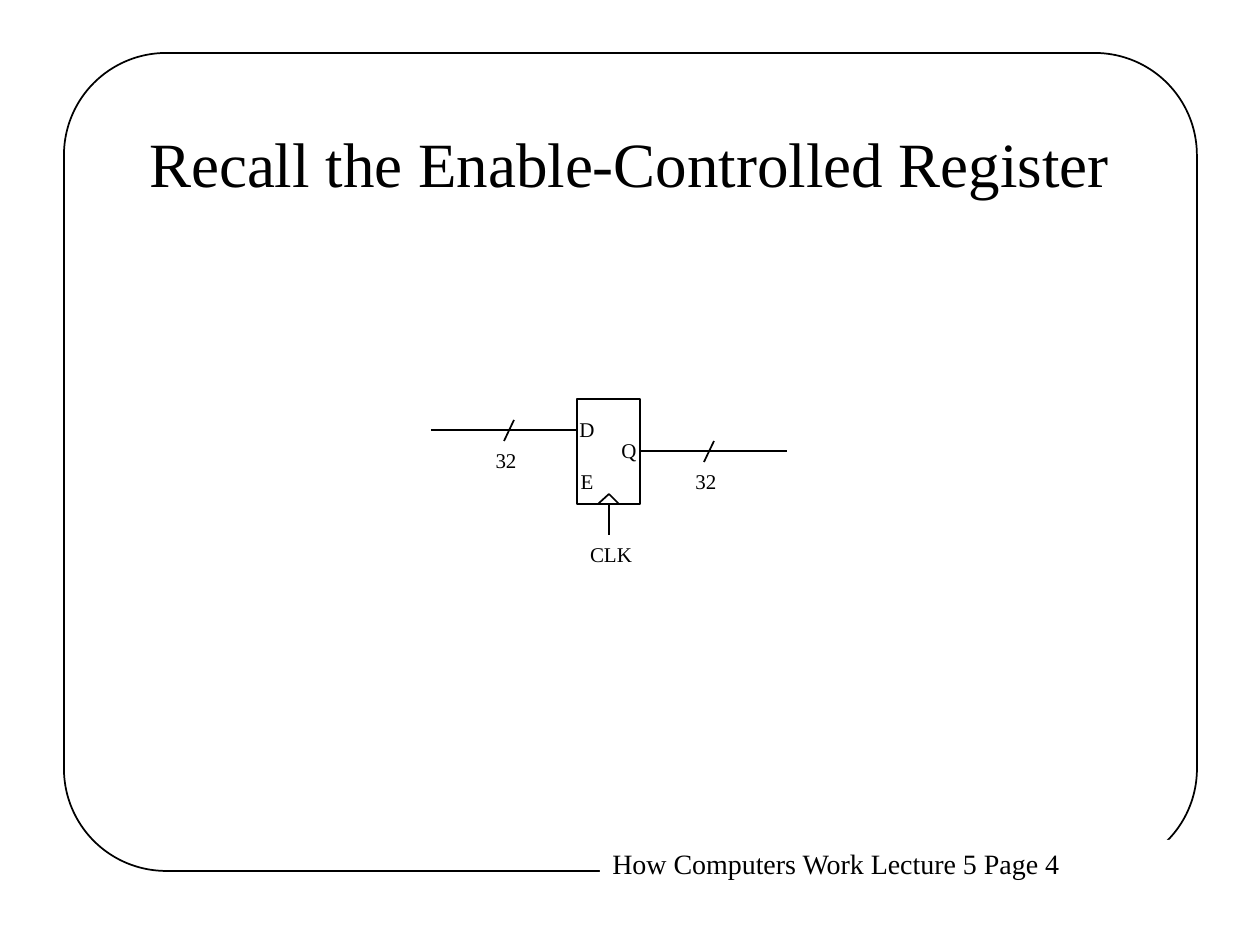
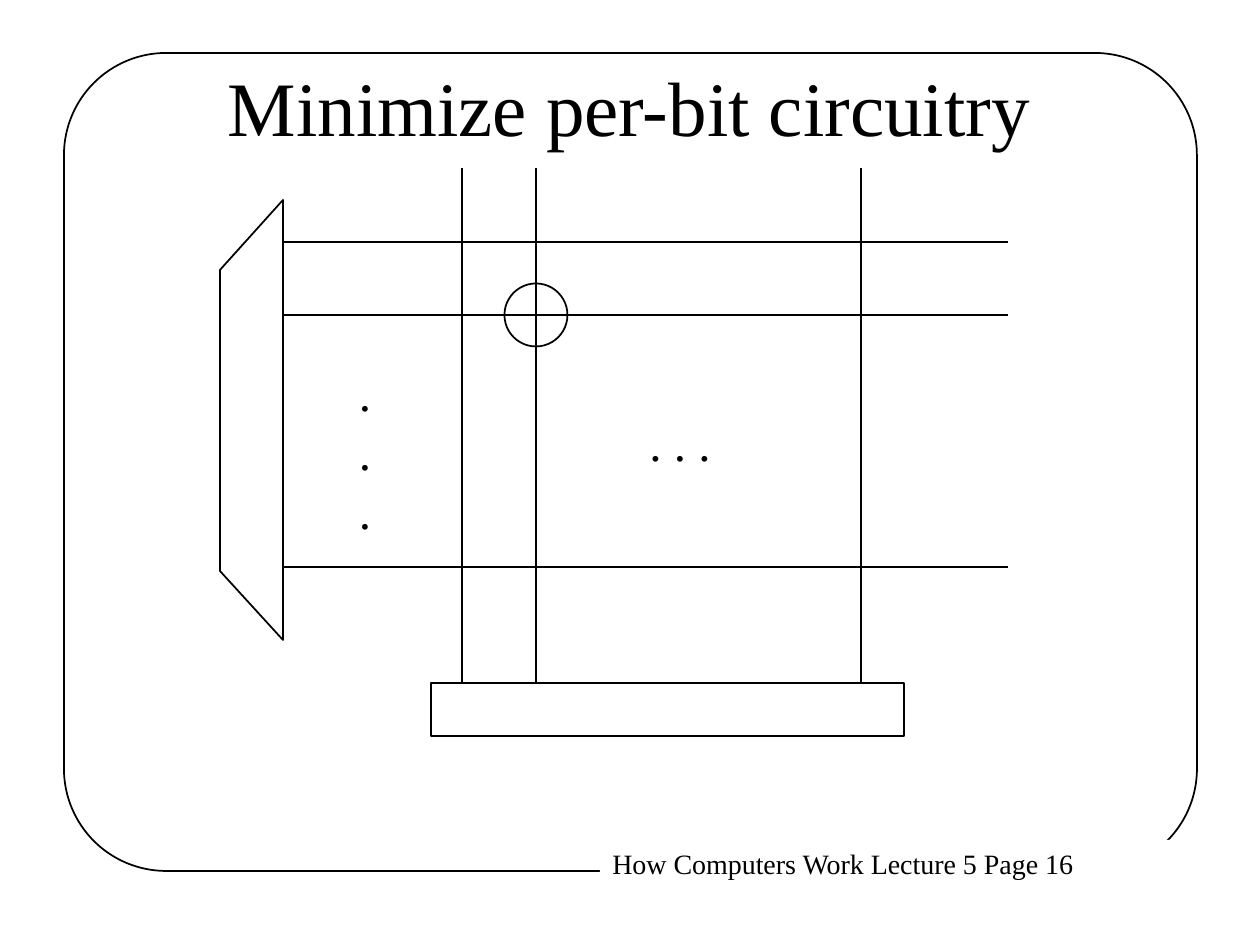
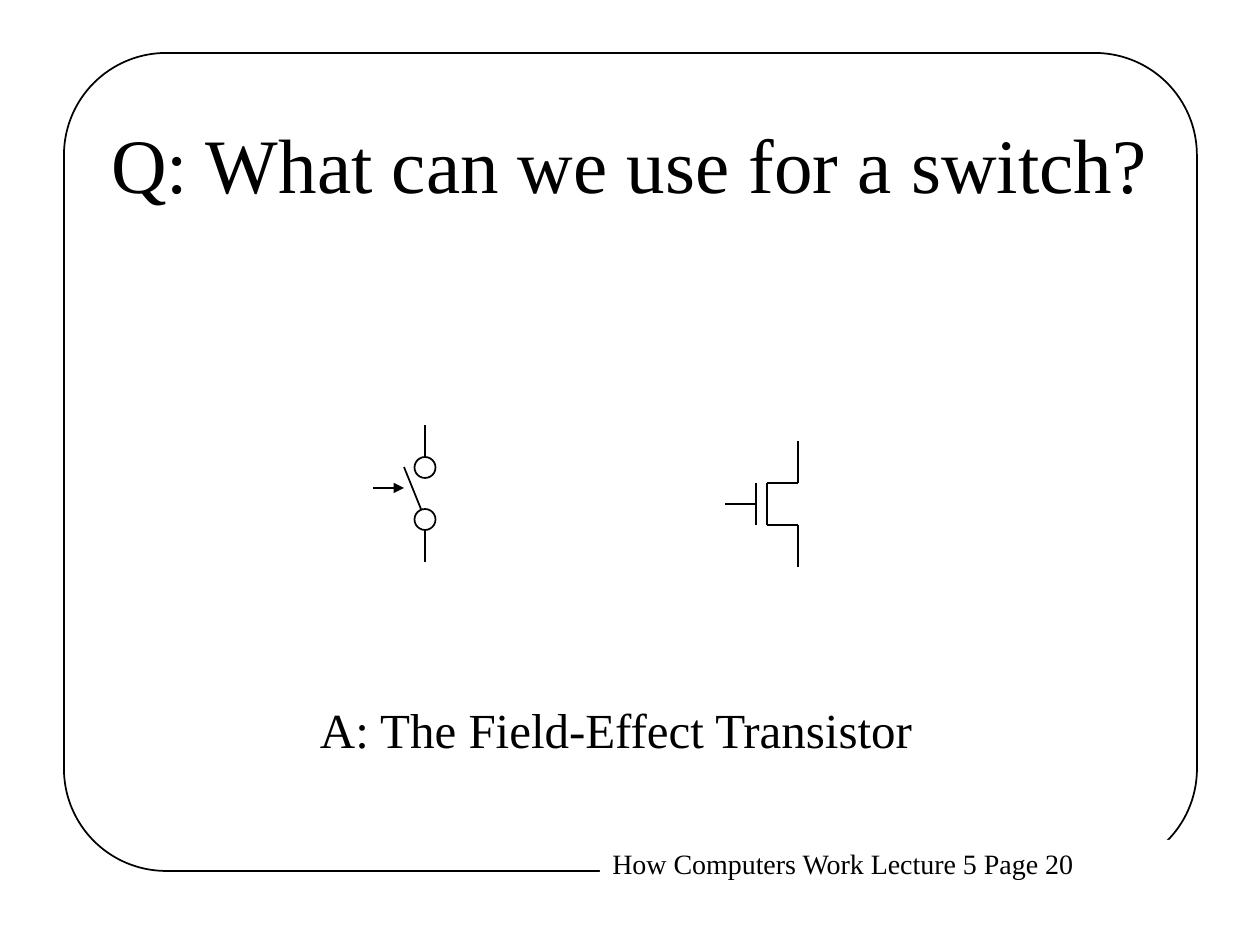
from dataclasses import dataclass
from itertools import pairwise

from lxml import etree
from pptx import Presentation
from pptx import util as u
from pptx.dml import color
from pptx.enum import shapes, text
from pptx.oxml import ns

PX = 914400 / 126  # EMU in one px


@dataclass(frozen=True)
class Theme:
    ink: color.RGBColor = color.RGBColor(0, 0, 0)
    paper: color.RGBColor = color.RGBColor(255, 255, 255)
    font: str = "Times New Roman"
    line: u.Pt = u.Pt(1)
    title: int = 44
    long_title: int = 36
    body: int = 28
    footer: int = 16
    label: int = 12


THEME = Theme()
CENTER, LEFT = text.PP_ALIGN.CENTER, text.PP_ALIGN.LEFT
MIDDLE, TOP = text.MSO_ANCHOR.MIDDLE, text.MSO_ANCHOR.TOP


def emu(length):
    return u.Emu(round(length * PX))


def assign(target, values):
    for name, value in values.items():
        setattr(target, name, value)


class Region:
    """Draws on a slide relative to a top left corner, in px."""

    def __init__(self, slide, left=0, top=0):
        self.shapes, self.left, self.top = slide.shapes, left, top

    def place(self, x, y):
        return emu(self.left + x), emu(self.top + y)

    def style(self, shape, fill=None, outlined=True):
        shape.shadow.inherit = False
        if fill is None:
            shape.fill.background()
        else:
            shape.fill.solid()
            shape.fill.fore_color.rgb = fill
        if outlined:
            shape.line.color.rgb = THEME.ink
            shape.line.width = THEME.line
        else:
            shape.line.fill.background()
        return shape

    def shape(self, kind, x, y, width, height, **style):
        shape = self.shapes.add_shape(kind, *self.place(x, y), emu(width), emu(height))
        return self.style(shape, **style)

    def outline(self, points):
        builder = self.shapes.build_freeform(*points[0], scale=PX)
        builder.add_line_segments(points[1:], close=True)
        return self.style(builder.convert_to_shape(*self.place(0, 0)))

    def line(self, start, end, arrow=False):
        connector = self.shapes.add_connector(
            shapes.MSO_CONNECTOR.STRAIGHT, *self.place(*start), *self.place(*end))
        assign(connector.line, {"width": THEME.line})
        connector.line.color.rgb = THEME.ink
        if arrow:
            etree.SubElement(connector.line._get_or_add_ln(), ns.qn("a:tailEnd"), type="triangle")
        etree.SubElement(connector._element.spPr, ns.qn("a:effectLst"))

    def path_of_lines(self, *points):
        for start, end in pairwise(points):
            self.line(start, end)

    def label(self, words, center, size, width, height):
        """Centred text, one paragraph for each line."""
        x, y = center
        box = self.shapes.add_textbox(
            *self.place(x - width / 2, y - height / 2), emu(width), emu(height))
        write(box, words, size, wrap=False)


def write(shape, words, size, align=CENTER, anchor=MIDDLE, wrap=True):
    frame = shape.text_frame
    assign(frame, {"text": words, "word_wrap": wrap, "vertical_anchor": anchor,
                   "auto_size": text.MSO_AUTO_SIZE.NONE})
    for paragraph in frame.paragraphs:
        paragraph.alignment = align
        assign(paragraph.font, {"name": THEME.font, "size": u.Pt(size)})
        paragraph.font.color.rgb = THEME.ink


# Shared frame, footer and title
def add_page(presentation, title, page, size=THEME.title, title_top=84, title_height=157):
    slide = presentation.slides.add_slide(presentation.slide_layouts[6])
    region = Region(slide)
    border = region.shape(shapes.MSO_SHAPE.ROUNDED_RECTANGLE, 64, 53, 1133, 818)
    border.adjustments[0] = 0.125
    footer = region.shape(shapes.MSO_SHAPE.RECTANGLE, 600, 840, 578, 47,
                          fill=THEME.paper, outlined=False)
    write(footer, f"How Computers Work Lecture 5 Page {page}", THEME.footer, LEFT, TOP)
    heading = slide.shapes.add_textbox(*map(emu, (94, title_top, 1071, title_height)))
    write(heading, title, size)
    return slide


# Register with its data, enable and clock pins
def draw_register(slide, left, top):
    region = Region(slide, left, top)
    width, height, middle = 63, 105, 32
    region.shape(shapes.MSO_SHAPE.RECTANGLE, 0, 0, width, height)
    region.path_of_lines((21, height), (middle, 95), (42, height))
    region.line((middle, height), (middle, 136))
    for words, center, label_width in (("D", (10, 30), 40), ("E", (10, 82), 38),
                                       ("Q", (52, 51), 40), ("CLK", (34, 155), 67)):
        region.label(words, center, THEME.label, label_width, 38)
    for start, end, y, tick in ((-146, 0, 31, -68), (width, 210, 52, 132)):
        region.line((start, y), (end, y))
        region.line((tick + 5, y - 10), (tick - 5, y + 11))
        region.label("32", (tick - 3, y + 30), THEME.label, 45, 38)


# Memory array: decoder, word lines, bit lines, output block
def draw_memory_array(slide, left, top):
    region = Region(slide, left, top)
    decoder_right, array_right, block_top = 63, 788, 515
    rows, columns = (74, 147, 399), (242, 316, 641)
    region.outline([(decoder_right, 472), (decoder_right, 32), (0, 102), (0, 403)])
    for y in rows:
        region.line((decoder_right, y), (array_right, y))
    for x in columns:
        region.line((x, 0), (x, block_top))
    region.label(".\n.\n.", (145, 283), THEME.body, 37, 189)
    region.label(". . .", (460, 274), THEME.body, 86, 72)
    region.shape(shapes.MSO_SHAPE.RECTANGLE, 211, block_top, 473, 53)
    cell = 63
    region.shape(shapes.MSO_SHAPE.OVAL, columns[1] - cell / 2, rows[1] - cell / 2, cell, cell)


# Mechanical switch
def draw_switch(slide, left, top):
    region = Region(slide, left, top)
    axis, contact = 52, 21
    region.line((axis, 137), (axis, 105))
    region.line((axis, 32), (axis, 0))
    region.line((axis, 94), (31, 42))
    for y, fill in ((32, None), (84, THEME.paper)):
        region.shape(shapes.MSO_SHAPE.OVAL, axis - contact / 2, y, contact, contact, fill=fill)
    region.line((0, 63), (31, 63), arrow=True)


# Field-effect transistor
def draw_transistor(slide, left, top):
    region = Region(slide, left, top)
    gate, channel, terminal = 31, 42, 73
    region.path_of_lines((terminal, 0), (terminal, 42), (channel, 42),
                         (channel, 84), (terminal, 84), (terminal, 126))
    region.line((gate, 42), (gate, 84))
    region.line((gate, 63), (0, 63))


def main():
    presentation = Presentation()
    assign(presentation, {"slide_width": emu(1260), "slide_height": emu(945)})

    slide = add_page(presentation, "Recall the Enable-Controlled Register", 4, THEME.long_title)
    draw_register(slide, 577, 399)

    slide = add_page(presentation, "Minimize per-bit circuitry", 16,
                     title_top=53, title_height=105)
    draw_memory_array(slide, 220, 168)

    slide = add_page(presentation, "Q: What can we use for a switch?", 20)
    draw_switch(slide, 373, 425)
    draw_transistor(slide, 725, 441)
    Region(slide).label("A: The Field-Effect Transistor", (616, 729), THEME.body, 621, 72)

    presentation.save("out.pptx")


if __name__ == "__main__":
    main()
